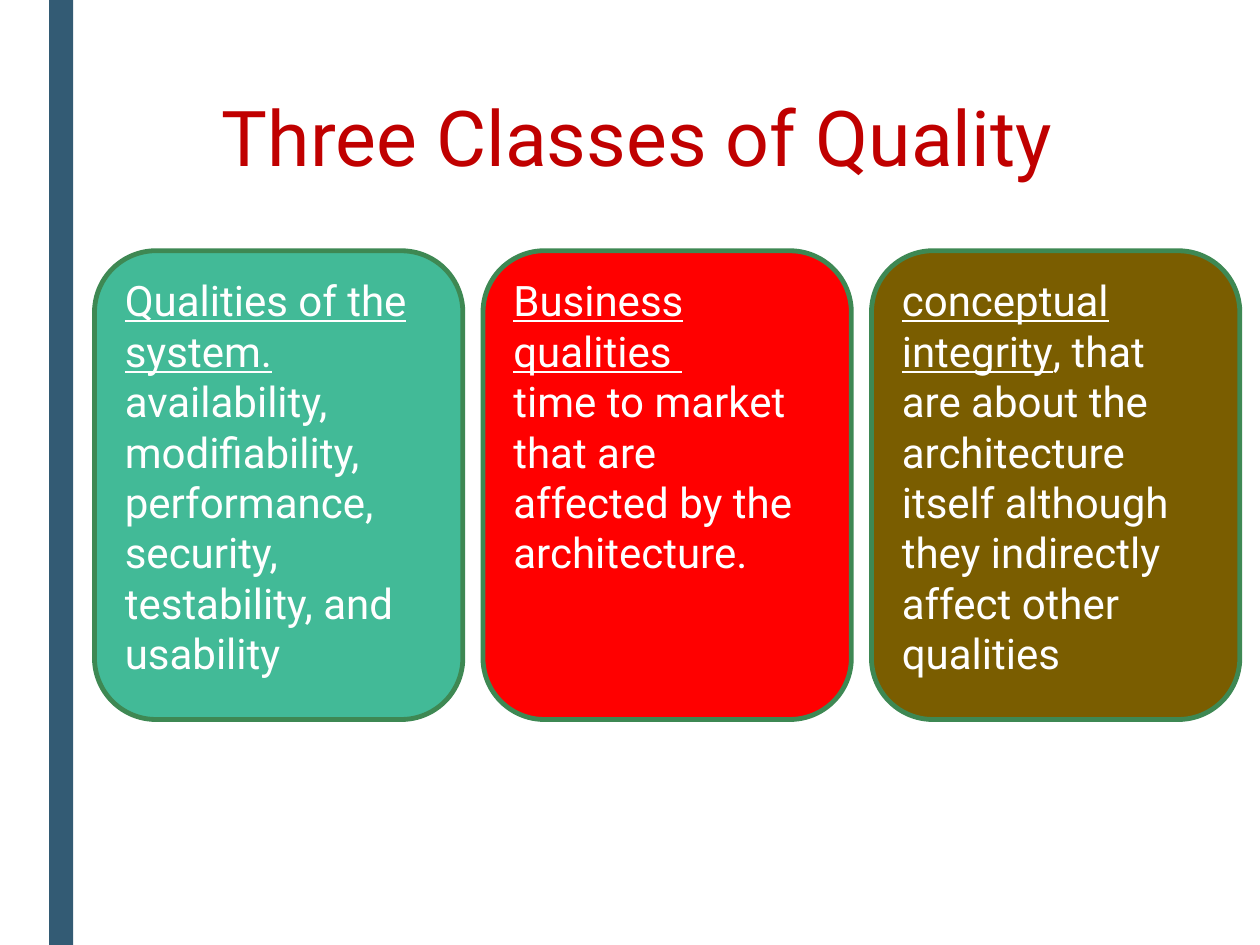
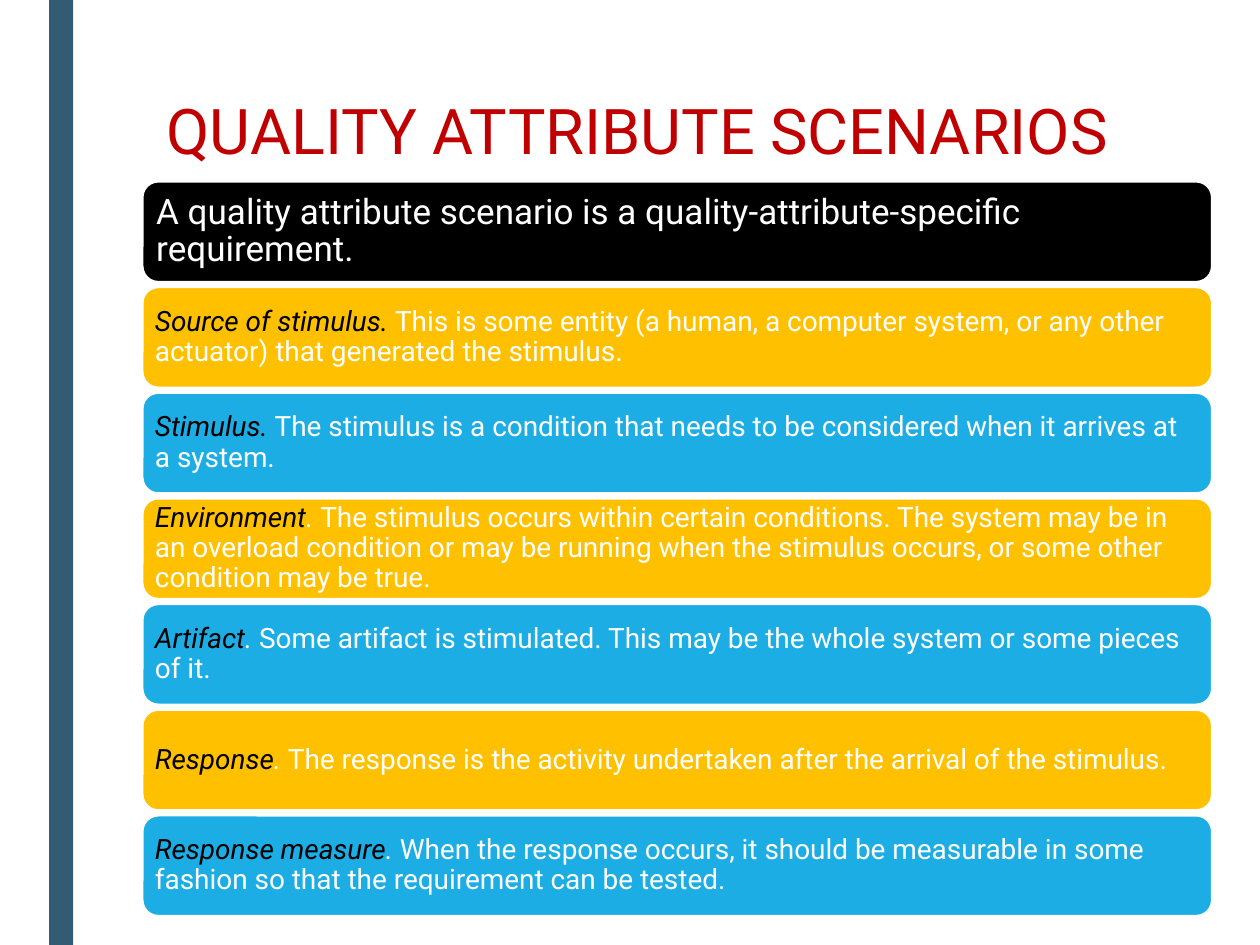
from dataclasses import dataclass

from pptx import Presentation
from pptx.dml.color import RGBColor
from pptx.enum.shapes import MSO_SHAPE
from pptx.enum.text import MSO_ANCHOR, PP_ALIGN
from pptx.util import Inches, Pt


@dataclass(frozen=True)
class Theme:
    font: str = "Roboto"
    white: str = "FFFFFF"
    black: str = "000000"
    title: str = "C00000"
    side_bar: str = "335B74"
    card_line: str = "3E8853"
    card_fills: tuple = ("42BA97", "FF0000", "7A5D00")
    band_fills: tuple = ("FFC000", "1CADE4")
    line_width: float = 2.75
    title_size: int = 44
    long_title_size: int = 36
    card_size: int = 24
    lead_size: int = 20
    band_size: int = 16


@dataclass(frozen=True)
class Box:
    left: float
    top: float
    width: float
    height: float

    def lengths(self):
        return [Inches(n) for n in (self.left, self.top, self.width, self.height)]


THEME = Theme()

QUALITY_CLASSES = [
    [[("Qualities of the system.", True),
      (" availability, modifiability, performance, security, testability, and usability", False)]],
    [[("Business qualities ", True)],
     [("time to market that are affected by the architecture.", False)]],
    [[("conceptual integrity", True),
      (", that are about the architecture itself although they indirectly affect other qualities", False)]],
]

SCENARIO_LEAD = "A quality attribute scenario is a quality-attribute-specific requirement."
SCENARIO_PARTS = [
    ("Source of stimulus. ", "",
     "This is some entity (a human, a computer system, or any other actuator) that generated the stimulus."),
    ("Stimulus. ", "",
     "The stimulus is a condition that needs to be considered when it arrives at a system."),
    ("Environment", ". ",
     "The stimulus occurs within certain conditions. The system may be in an overload condition "
     "or may be running when the stimulus occurs, or some other condition may be true."),
    ("Artifact", ". ",
     "Some artifact is stimulated. This may be the whole system or some pieces of it."),
    ("Response", ". ",
     "The response is the activity undertaken after the arrival of the stimulus."),
    ("Response measure", ". ",
     "When the response occurs, it should be measurable in some fashion so that the requirement can be tested."),
]


def colour(value):
    return RGBColor.from_string(value)


def style_paragraph(paragraph, size, text_colour, align=PP_ALIGN.LEFT, spacing=None):
    paragraph.alignment = align
    paragraph.line_spacing = spacing
    paragraph.font.name = THEME.font
    paragraph.font.size = Pt(size)
    paragraph.font.color.rgb = colour(text_colour)


def add_panel(page, kind, box, fill, line=None):
    panel = page.shapes.add_shape(kind, *box.lengths())
    panel.shadow.inherit = False
    panel.fill.solid()
    panel.fill.fore_color.rgb = colour(fill)
    if line:
        panel.line.color.rgb = colour(line)
        panel.line.width = Pt(THEME.line_width)
    else:
        panel.line.fill.background()
    panel.text_frame.word_wrap = True
    return panel


def add_page(deck, text, size, box):
    page = deck.slides.add_slide(deck.slide_layouts[5])
    add_panel(page, MSO_SHAPE.RECTANGLE, Box(0.39, 0, 0.19, 7.5), THEME.side_bar)
    title = page.shapes.title
    title.left, title.top, title.width, title.height = box.lengths()
    title.text_frame.vertical_anchor = MSO_ANCHOR.TOP
    title.text_frame.text = text
    style_paragraph(title.text_frame.paragraphs[0], size, THEME.title, PP_ALIGN.CENTER, 0.89)
    return page


def add_card(page, box, fill, paragraphs):
    card = add_panel(page, MSO_SHAPE.ROUNDED_RECTANGLE, box, fill, THEME.card_line)
    frame = card.text_frame
    frame.vertical_anchor = MSO_ANCHOR.TOP
    for index, spans in enumerate(paragraphs):
        paragraph = frame.add_paragraph() if index else frame.paragraphs[0]
        style_paragraph(paragraph, THEME.card_size, THEME.white)
        for text, underlined in spans:
            span = paragraph.add_run()
            span.text = text
            span.font.underline = underlined


def add_cards(page, box, gap):
    count = len(QUALITY_CLASSES)
    width = (box.width - gap * (count - 1)) / count
    for index, (fill, paragraphs) in enumerate(zip(THEME.card_fills, QUALITY_CLASSES)):
        left = box.left + index * (width + gap)
        add_card(page, Box(left, box.top, width, box.height), fill, paragraphs)


def add_band(page, box, fill, size, inset):
    band = add_panel(page, MSO_SHAPE.ROUNDED_RECTANGLE, box, fill, THEME.white)
    frame = band.text_frame
    frame.vertical_anchor = MSO_ANCHOR.MIDDLE
    frame.margin_left = frame.margin_right = Inches(inset)
    frame.margin_top = frame.margin_bottom = Inches(inset)
    paragraph = frame.paragraphs[0]
    style_paragraph(paragraph, size, THEME.white, spacing=0.9)
    return paragraph


def add_scenario_bands(page, box, gap):
    count = len(SCENARIO_PARTS) + 1
    height = (box.height - gap * (count - 1)) / count
    rows = [Box(box.left, box.top + index * (height + gap), box.width, height)
            for index in range(count)]
    lead = add_band(page, rows[0], THEME.black, THEME.lead_size, 0.08)
    lead.add_run().text = SCENARIO_LEAD
    for index, (row, (term, mark, meaning)) in enumerate(zip(rows[1:], SCENARIO_PARTS)):
        fill = THEME.band_fills[index % len(THEME.band_fills)]
        paragraph = add_band(page, row, fill, THEME.band_size, 0.07)
        for text, italic in ((term, True), (mark, True), (meaning, False)):
            if text:
                span = paragraph.add_run()
                span.text = text
                span.font.italic = italic
        paragraph.runs[0].font.color.rgb = colour(THEME.black)


def build_classes_page(deck):
    page = add_page(deck, "Three Classes of Quality", THEME.title_size, Box(1.12, 0.75, 7.88, 1.24))
    add_cards(page, Box(0.75, 1.99, 9.09, 3.72), 0.16)


def build_scenarios_page(deck):
    page = add_page(deck, "QUALITY ATTRIBUTE SCENARIOS", THEME.long_title_size,
                    Box(1.12, 0.75, 7.88, 0.77))
    add_scenario_bands(page, Box(1.12, 1.43, 8.51, 5.85), 0.02)


def main():
    deck = Presentation()
    deck.slide_width = Inches(10)
    deck.slide_height = Inches(7.5)
    build_classes_page(deck)
    build_scenarios_page(deck)
    deck.save("out.pptx")


if __name__ == "__main__":
    main()
